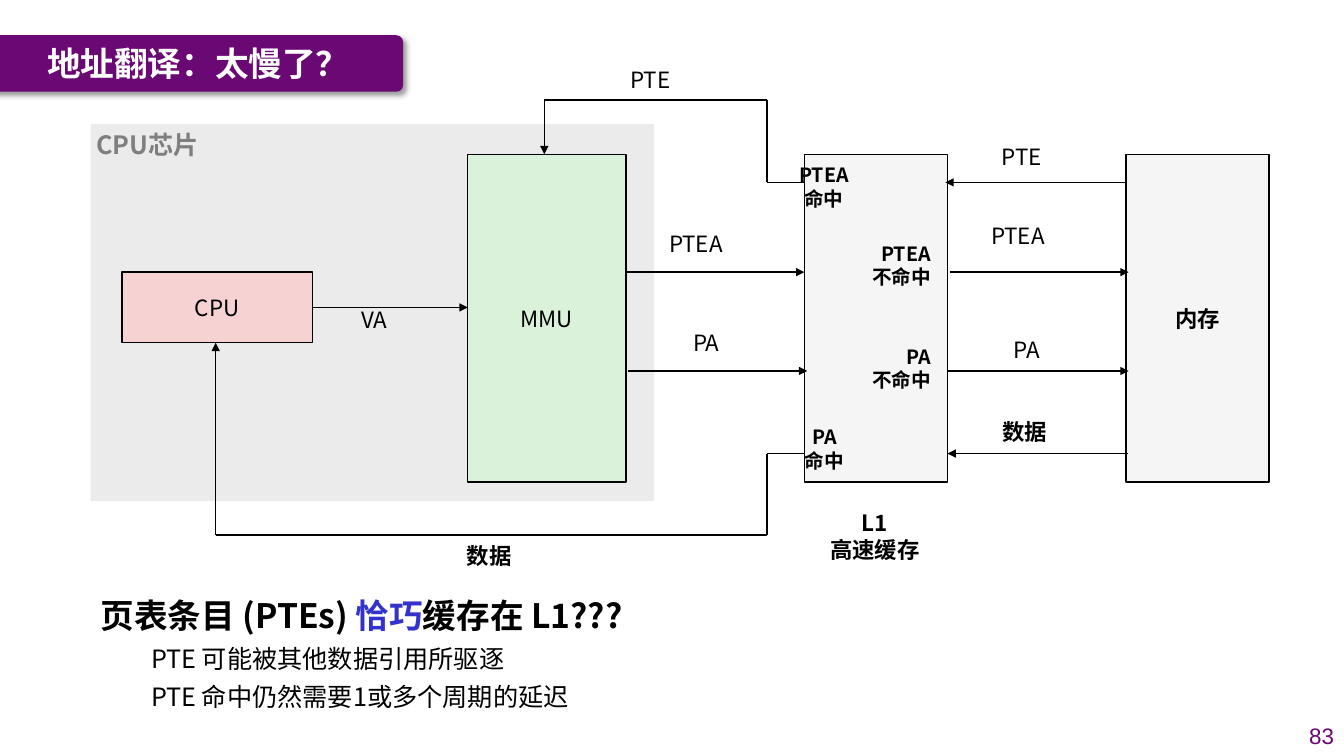
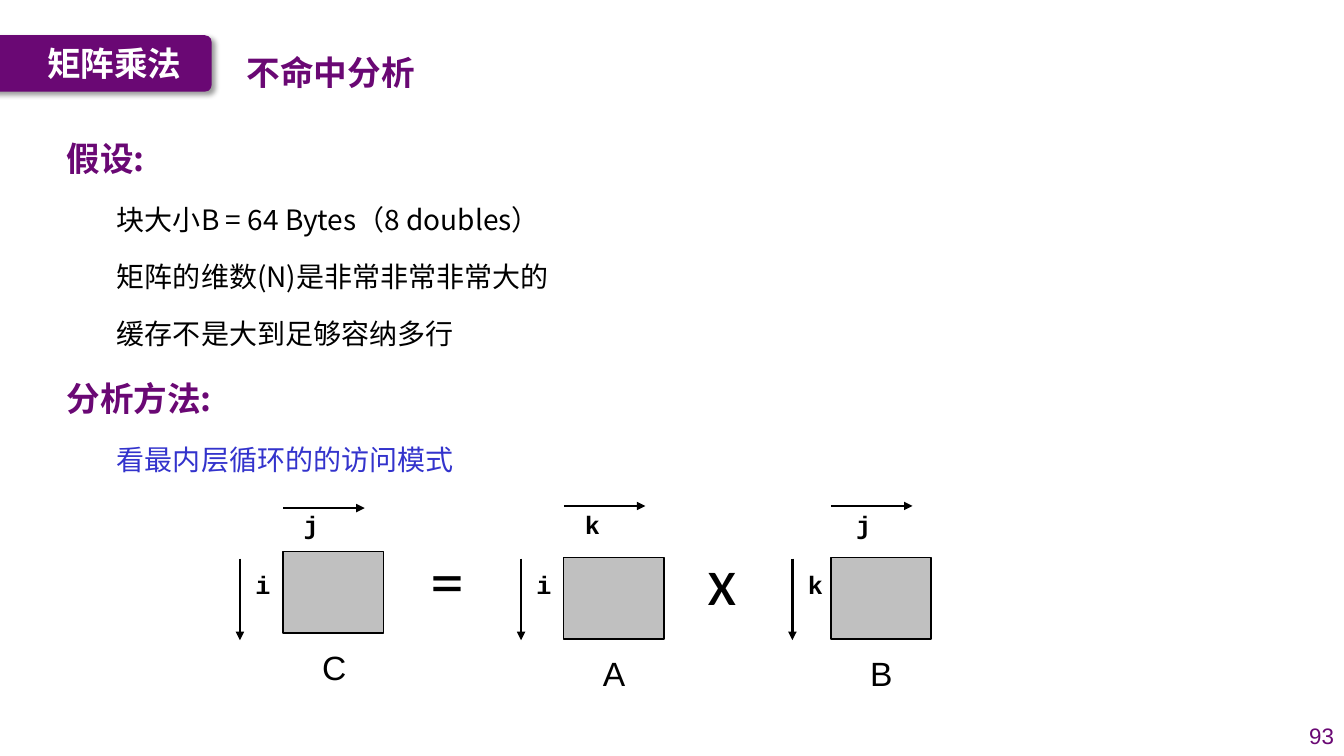
"""Two lecture slides: address translation through the L1 cache, and matrix multiplication misses."""
from dataclasses import dataclass
from itertools import pairwise

from lxml import etree
from pptx import Presentation
from pptx import util as u
from pptx.dml.color import RGBColor
from pptx.enum import shapes, text
from pptx.oxml import ns

Pt = u.Pt
NOTO = "Noto Sans CJK SC"
COLORS = {
    "purple": "6A0874", "white": "FFFFFF", "black": "000000", "blue": "3333CC", "grey": "7F7F7F",
    "chip": "EBEBEB", "cpu": "F6D2D2", "mmu": "DBF2DA", "store": "F5F5F5", "matrix": "C0C0C0",
}
ALIGN = {"l": text.PP_ALIGN.LEFT, "c": text.PP_ALIGN.CENTER, "r": text.PP_ALIGN.RIGHT}


@dataclass(frozen=True)
class Run:
    """A stretch of text in one style."""
    words: str
    size: float = 16
    bold: bool = False
    color: str = "black"
    font: str = NOTO


@dataclass(frozen=True)
class Para:
    """A paragraph with its spacing and indent in points."""
    runs: tuple[Run, ...]
    before: float = 0
    indent: float = 0
    align: str = "l"
    spacing: float | None = None


@dataclass(frozen=True)
class Block:
    """A filled box of the diagram."""
    x: float
    y: float
    w: float
    h: float
    fill: str
    caption: Run | None = None
    outlined: bool = True


@dataclass(frozen=True)
class Label:
    """Centred lines of text around a point, or lines ending at it."""
    x: float
    y: float
    lines: tuple[str, ...]
    size: float = 16
    bold: bool = False
    color: str = "black"
    align: str = "c"


@dataclass(frozen=True)
class Matrix:
    """A matrix with its row and column index arrows."""
    name: str
    x: float
    y: float
    row: str
    column: str
    row_gap: float
    column_y: float


def rgb(name: str) -> RGBColor:
    """Look up a colour."""
    return RGBColor.from_string(COLORS[name])


def write(frame, paras: list[Para]) -> None:
    """Fill a text frame with paragraphs."""
    for i, para in enumerate(paras):
        p = frame.paragraphs[0] if i == 0 else frame.add_paragraph()
        p.alignment = ALIGN[para.align]
        if i:
            p.space_before = Pt(para.before)
        if para.spacing:
            p.line_spacing = para.spacing
        if para.indent:
            p._p.get_or_add_pPr().set("marL", str(Pt(para.indent)))
        for part in para.runs:
            run = p.add_run()
            run.text = part.words
            run.font.size, run.font.bold, run.font.name = Pt(part.size), part.bold, part.font
            run.font.color.rgb = rgb(part.color)
            east_asian = etree.SubElement(run._r.get_or_add_rPr(), ns.qn("a:ea"))
            east_asian.set("typeface", part.font)


def add_text(slide, x: float, y: float, w: float, h: float, paras: list[Para],
             middle: bool = False, inset: bool = True) -> None:
    """Add a wrapping text box of fixed size."""
    frame = slide.shapes.add_textbox(Pt(x), Pt(y), Pt(w), Pt(h)).text_frame
    frame.word_wrap = True
    frame.auto_size = text.MSO_AUTO_SIZE.NONE
    frame.vertical_anchor = text.MSO_ANCHOR.MIDDLE if middle else text.MSO_ANCHOR.TOP
    if not inset:
        frame.margin_left = frame.margin_right = frame.margin_top = frame.margin_bottom = 0
    write(frame, paras)


def add_block(slide, block: Block) -> None:
    """Draw a box with an optional caption in its middle."""
    box = slide.shapes.add_shape(shapes.MSO_SHAPE.RECTANGLE, Pt(block.x), Pt(block.y), Pt(block.w), Pt(block.h))
    box.shadow.inherit = False
    box.fill.solid()
    box.fill.fore_color.rgb = rgb(block.fill)
    if block.outlined:
        box.line.color.rgb = rgb("black")
        box.line.width = Pt(1)
    else:
        box.line.fill.background()
    if block.caption:
        box.text_frame.vertical_anchor = text.MSO_ANCHOR.MIDDLE
        write(box.text_frame, [Para((block.caption,), align="c")])


def add_label(slide, label: Label) -> None:
    """Place a label by its anchor point."""
    w, h = 110, 50
    left = label.x - (w if label.align == "r" else w / 2)
    paras = [Para((Run(line, label.size, label.bold, label.color),), align=label.align) for line in label.lines]
    add_text(slide, left, label.y - h / 2, w, h, paras, middle=True, inset=False)


def add_wire(slide, points: list[tuple[float, float]], width: float = 1) -> None:
    """Draw straight segments through the points, with an arrowhead at the end."""
    for start, end in pairwise(points):
        line = slide.shapes.add_connector(
            shapes.MSO_CONNECTOR.STRAIGHT, Pt(start[0]), Pt(start[1]), Pt(end[0]), Pt(end[1]))
        line.line.color.rgb = rgb("black")
        line.line.width = Pt(width)
        if end == points[-1]:
            etree.SubElement(line.line._get_or_add_ln(), ns.qn("a:tailEnd"), type="triangle")
        etree.SubElement(line._element.spPr, ns.qn("a:effectLst"))


def add_frame(slide, title: str, band_width: float, number: int) -> None:
    """Draw the title band, the title and the page number."""
    band = slide.shapes.add_shape(
        shapes.MSO_SHAPE.ROUNDED_RECTANGLE, Pt(-14.4), Pt(25.2), Pt(band_width), Pt(40.3))
    band.adjustments[0] = 0.12
    band.fill.solid()
    band.fill.fore_color.rgb = rgb("purple")
    band.line.fill.background()
    effects = etree.SubElement(band._element.spPr, ns.qn("a:effectLst"))
    shadow = etree.SubElement(effects, ns.qn("a:outerShdw"), blurRad=str(Pt(4)), dist=str(Pt(3)),
                              dir="2700000", algn="tl", rotWithShape="0")
    tint = etree.SubElement(shadow, ns.qn("a:srgbClr"), val=COLORS["black"])
    etree.SubElement(tint, ns.qn("a:alpha"), val="40000")
    add_text(slide, 26.6, 25.2, band_width - 46, 39.6, [Para((Run(title, 24, True, "white"),))], middle=True)
    page = Run(str(number), 16, color="purple", font="Arial")
    add_text(slide, 920.5, 511.2, 39.5, 28.8, [Para((page,), align="r")], middle=True)


def build_translation(slide) -> None:
    """Show how page table entries pass through the L1 cache."""
    top, height = 110.2, 234
    mmu_x, cache_x, memory_x, store_w = 334.1, 574.6, 804.2, 102.2
    mmu_right, cache_right = mmu_x + 113, cache_x + store_w
    hit_y, ptea_y, pa_y, data_y = 130.3, 194.4, 265, 324
    bend_x, cpu_x = 547.9, 154.1
    for block in (
        Block(64.8, 88.6, 402.5, 269.3, "chip", outlined=False),
        Block(87.1, ptea_y, 136.1, 50.4, "cpu", Run("CPU")),
        Block(mmu_x, top, 113, height, "mmu", Run("MMU")),
        Block(cache_x, top, store_w, height, "store"),
        Block(memory_x, top, store_w, height, "store", Run("内存", bold=True)),
    ):
        add_block(slide, block)
    for wire in (
        [(223.2, 219.6), (mmu_x, 219.6)],
        [(mmu_right, ptea_y), (cache_x, ptea_y)],
        [(mmu_right + 1.5, pa_y), (cache_x + 2, pa_y)],
        [(cache_right + 1.5, ptea_y), (memory_x + 2, ptea_y)],
        [(cache_right, pa_y), (memory_x + 2, pa_y)],
        [(memory_x, hit_y), (cache_right - 1.5, hit_y)],
        [(memory_x + 1.5, data_y), (cache_right, data_y)],
        [(cache_x, hit_y), (bend_x, hit_y), (bend_x, 71.3), (388.8, 71.3), (388.8, top)],
        [(cache_x, data_y), (bend_x, data_y), (bend_x, 382.3), (cpu_x, 382.3), (cpu_x, 244.8)],
    ):
        add_wire(slide, wire)
    for label in (
        Label(105.5, 103, ("CPU芯片",), 18, True, "grey"),
        Label(267.5, 228.5, ("VA",)),
        Label(464.5, 56.5, ("PTE",)),
        Label(497, 174, ("PTEA",)),
        Label(504.5, 245, ("PA",)),
        Label(349.5, 396.5, ("数据",), bold=True),
        Label(730, 112, ("PTE",)),
        Label(727, 168, ("PTEA",)),
        Label(733.5, 250, ("PA",)),
        Label(732, 308.5, ("数据",), bold=True),
        Label(625, 383, ("L1", "高速缓存"), bold=True),
        Label(588.5, 133.5, ("PTEA", "命中"), 14, True),
        Label(589, 320.5, ("PA", "命中"), 14, True),
        Label(665, 189.5, ("PTEA", "不命中"), 14, True, align="r"),
        Label(665, 263, ("PA", "不命中"), 14, True, align="r"),
    ):
        add_label(slide, label)
    heading = (Run("页表条目 (PTEs) ", 24, True), Run("恰巧", 24, True, "blue"), Run("缓存在 L1???", 24, True))
    details = ("PTE 可能被其他数据引用所驱逐", "PTE 命中仍然需要1或多个周期的延迟")
    add_text(slide, 64.8, 421.2, 488.2, 92.2,
             [Para(heading), *(Para((Run(line, 18),), 5.6, 36) for line in details)])


def add_matrix(slide, matrix: Matrix) -> None:
    """Draw a matrix, its name and its index arrows."""
    w, h, reach = 71.6, 58.3, 58.3
    row_x, row_y = matrix.x - matrix.row_gap, 399
    add_block(slide, Block(matrix.x, matrix.y, w, h, "matrix"))
    add_wire(slide, [(matrix.x, matrix.column_y), (matrix.x + reach, matrix.column_y)], 2)
    add_wire(slide, [(row_x, row_y), (row_x, row_y + reach)], 2)
    for index, x, y in ((matrix.column, matrix.x + 45.5 - matrix.row_gap, 364), (matrix.row, row_x + 11, 406.8)):
        add_text(slide, x, y, 13, 24.5, [Para((Run(index, 18, True, font="Courier New"),))], inset=False)
    name = Run(matrix.name, 24, font="Arial")
    add_text(slide, matrix.x + 28, matrix.y + 68.4, 20, 30, [Para((name,))], inset=False)


def build_matrices(slide) -> None:
    """State the assumptions of the miss analysis and draw C = A x B."""
    def topic(words: str, before: float = 0) -> Para:
        return Para((Run(words, 24, True, "purple"),), before, 0.7, spacing=1.5)

    def point(words: str, color: str = "black") -> Para:
        return Para((Run(words, 20, color=color),), 5, 36.7, spacing=1.5)

    add_text(slide, 168.5, 19.4, 153.4, 46, [topic("不命中分析")])
    add_text(slide, 46.8, 84.2, 476.6, 253.4, [
        topic("假设:"),
        point("块大小B = 64 Bytes（8 doubles）"),
        point("矩阵的维数(N)是非常非常非常大的"),
        point("缓存不是大到足够容纳多行"),
        topic("分析方法:", 5.5),
        point("看最内层循环的的访问模式", "blue"),
    ], inset=False)
    for matrix in (
        Matrix("C", 202.2, 393.8, "i", "j", 30.8, 362.9),
        Matrix("A", 402.7, 398.2, "i", "k", 30.5, 361.4),
        Matrix("B", 593.5, 398.2, "k", "j", 27.5, 361.4),
    ):
        add_matrix(slide, matrix)
    for sign, x in (("=", 307.4), ("x", 505.4)):
        add_text(slide, x, 384.5, 30, 61.2, [Para((Run(sign, 48, font="Calibri"),))], inset=False)


def main() -> None:
    """Build and save the deck."""
    deck = Presentation()
    deck.slide_width, deck.slide_height = Pt(960), Pt(540)
    for title, band_width, number, build in (
        ("地址翻译：太慢了？", 302.4, 83, build_translation),
        ("矩阵乘法", 165.6, 93, build_matrices),
    ):
        slide = deck.slides.add_slide(deck.slide_layouts[6])
        build(slide)
        add_frame(slide, title, band_width, number)
    deck.save("out.pptx")


if __name__ == "__main__":
    main()
